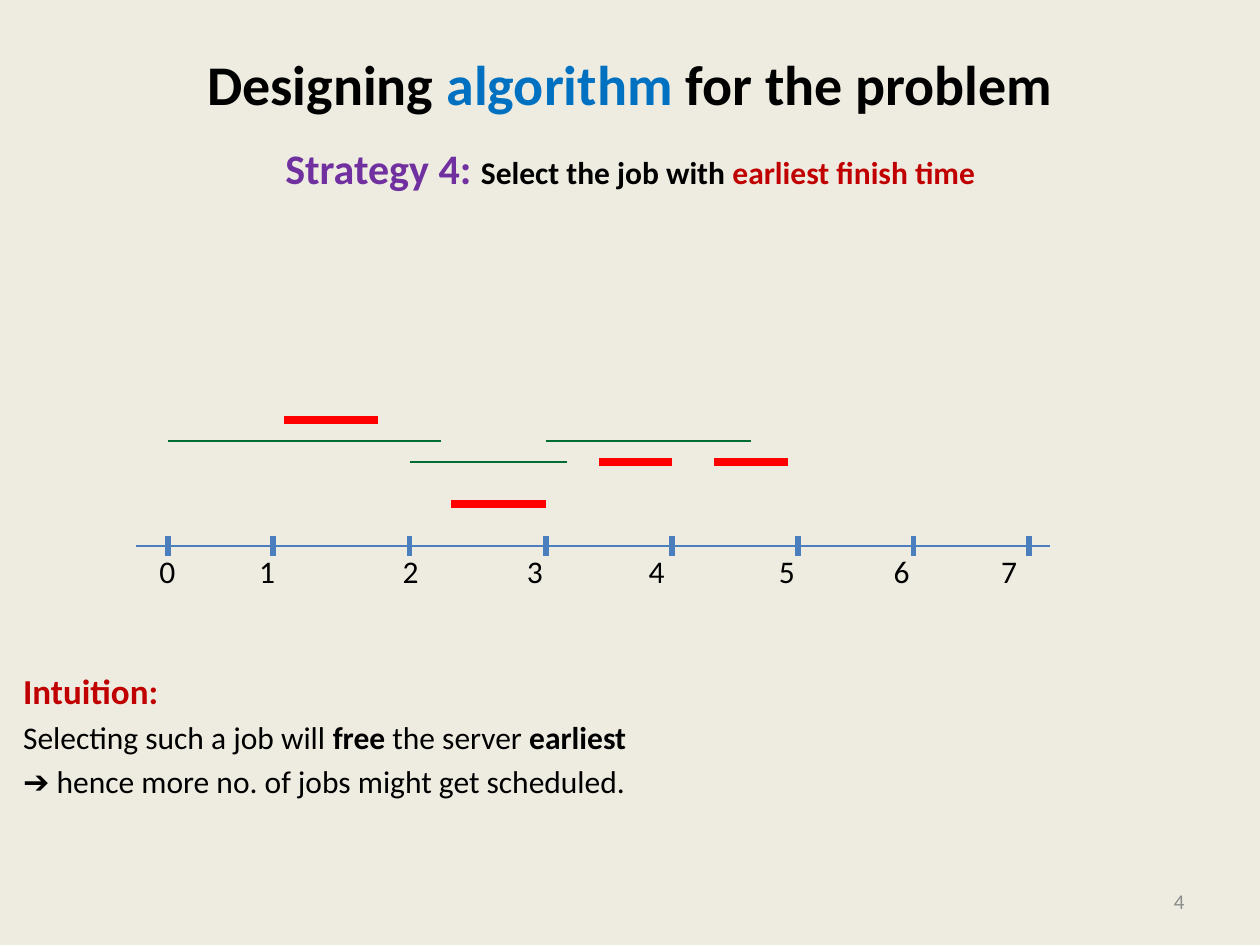
from dataclasses import dataclass

from lxml.etree import SubElement
from pptx import Presentation
from pptx.dml.color import RGBColor
from pptx.enum.text import MSO_ANCHOR, MSO_AUTO_SIZE, PP_ALIGN
from pptx.oxml.ns import qn
from pptx.util import Pt


@dataclass(frozen=True)
class Theme:
    """Hold the colours, type sizes and line widths of the deck."""
    font: str = "Calibri"
    paper: str = "EEECE1"
    ink: str = "000000"
    blue: str = "0070C0"
    purple: str = "7030A0"
    crimson: str = "C00000"
    grey: str = "8C8C8C"
    axis: str = "4B7EBC"
    green: str = "006C31"
    red: str = "FF0000"
    title: int = 32
    lead: int = 24
    head: int = 20
    text: int = 18
    small: int = 12
    thin: float = 0.75
    job: float = 1.5
    tick: float = 3
    pick: float = 4.5


THEME = Theme()


def write(para, text, size=THEME.text, color=THEME.ink, bold=False):
    """Add one run of formatted text to a paragraph."""
    run = para.add_run()
    run.text = text
    font = run.font
    font.name, font.size, font.bold = THEME.font, Pt(size), bold
    font.color.rgb = RGBColor.from_string(color)


class Board:
    """Draw styled elements on the current slide."""

    def __init__(self, slide, theme):
        """Keep the slide and theme, and paint the background."""
        self.slide, self.theme = slide, theme
        fill = slide.background.fill
        fill.solid()
        fill.fore_color.rgb = RGBColor.from_string(theme.paper)

    def place(self, shape, box):
        """Move a shape to a box and return its text frame."""
        shape.left, shape.top, shape.width, shape.height = map(Pt, box)
        frame = shape.text_frame
        frame.auto_size = MSO_AUTO_SIZE.NONE
        frame.word_wrap = True
        return frame

    def title(self, box, runs, foot):
        """Fill the title, lifted by a deep bottom margin."""
        frame = self.place(self.slide.shapes.title, box)
        frame.vertical_anchor = MSO_ANCHOR.MIDDLE
        frame.margin_bottom = Pt(foot)
        para = frame.paragraphs[0]
        para.alignment = PP_ALIGN.CENTER
        for text, color in runs:
            write(para, text, size=self.theme.title, color=color, bold=True)

    def body(self, box, lines, drop):
        """Fill the body with plain lines, set low in its box."""
        frame = self.place(self.slide.placeholders[1], box)
        frame.vertical_anchor = MSO_ANCHOR.TOP
        frame.margin_top = Pt(drop)
        for i, (gap, runs) in enumerate(lines):
            para = frame.add_paragraph() if i else frame.paragraphs[0]
            para.space_before = Pt(gap)
            props = para._p.get_or_add_pPr()
            props.set("marL", "0")
            props.set("indent", "0")
            SubElement(props, qn("a:buNone"))
            for text, form in runs:
                write(para, text, **form)

    def label(self, box, runs, align=PP_ALIGN.LEFT, stops=(), anchor=MSO_ANCHOR.TOP):
        """Add a text box, with tab stops if given."""
        frame = self.place(self.slide.shapes.add_textbox(0, 0, 0, 0), box)
        frame.vertical_anchor = anchor
        para = frame.paragraphs[0]
        para.alignment = align
        if stops:
            tabs = SubElement(para._p.get_or_add_pPr(), qn("a:tabLst"))
            for stop in stops:
                SubElement(tabs, qn("a:tab"), pos=str(Pt(stop)), algn="l")
        for text, form in runs:
            write(para, text, **form)

    def line(self, start, end, color, width):
        """Draw a straight line without a shadow."""
        link = self.slide.shapes.add_connector(1, *map(Pt, (*start, *end)))
        link.line.color.rgb = RGBColor.from_string(color)
        link.line.width = Pt(width)
        SubElement(link._element.spPr, qn("a:effectLst"))

    def bars(self, jobs, color, width):
        """Draw each job as a level line from start to finish."""
        for left, right, y in jobs:
            self.line((left, y), (right, y), color, width)

    def scale(self, left, right, y, ticks, stops):
        """Draw the time axis with its ticks and numbers."""
        look = self.theme
        self.line((left, y), (right, y), look.axis, look.thin)
        for x in ticks:
            self.line((x, y - 6), (x, y + 6), look.axis, look.tick)
        marks = "\t".join(str(n) for n in range(len(ticks)))
        self.label((84, y, 517, 29), [(marks, {})], stops=stops)


def main():
    """Build and save the slide."""
    deck = Presentation()
    deck.slide_width, deck.slide_height = Pt(720), Pt(540)
    look = THEME
    board = Board(deck.slides.add_slide(deck.slide_layouts[1]), look)

    board.title((36, 21.6, 648, 90), [
        ("Designing ", look.ink),
        ("algorithm", look.blue),
        (" for the problem", look.ink),
    ], foot=42)
    strong = {"bold": True}
    board.body((6, 126, 708, 356.4), [
        (0, [("Intuition:", {"size": look.head, "color": look.crimson, "bold": True})]),
        (4, [("Selecting such a job will ", {}), ("free ", strong),
             ("the server ", {}), ("earliest", strong)]),
        (3.6, [("➔ hence more no. of jobs might get scheduled.", {})]),
    ], drop=256.5)
    board.label((516, 500.4, 168, 28.8),
                [("4", {"size": look.small, "color": look.grey})],
                align=PP_ALIGN.RIGHT, anchor=MSO_ANCHOR.MIDDLE)
    board.label((156, 78, 413, 36), [
        ("Strategy 4: ", {"size": look.lead, "color": look.purple, "bold": True}),
        ("Select the job with ", strong),
        ("earliest finish time", {"color": look.crimson, "bold": True}),
    ])

    board.scale(78, 600, 312, (96, 156, 234, 312, 384, 456, 522, 588),
                stops=(57, 139, 210, 279.5, 354, 419.5, 481))
    board.bars([(96, 252, 252), (234, 324, 264), (312, 429, 252)],
               look.green, look.job)
    board.bars([(162, 216, 240), (258, 312, 288), (342, 384, 264), (408, 450, 264)],
               look.red, look.pick)
    deck.save("out.pptx")


if __name__ == "__main__":
    main()
